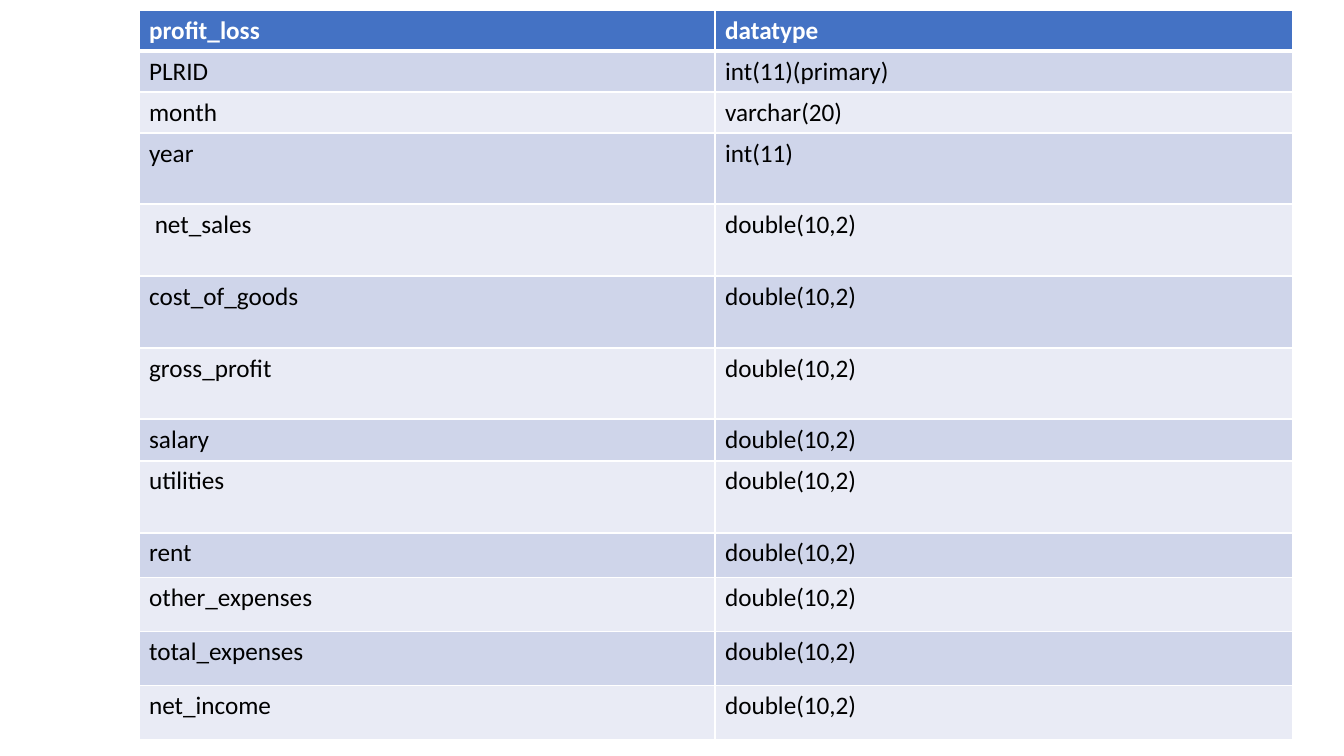
from dataclasses import dataclass

from lxml import etree
from pptx import Presentation
from pptx.dml.color import RGBColor
from pptx.enum.text import MSO_ANCHOR, PP_ALIGN
from pptx.oxml.ns import qn
from pptx.util import Emu, Pt

TOP = MSO_ANCHOR.TOP
LEFT = PP_ALIGN.LEFT
EMU_PER_PIXEL = 914400 / 100.8


@dataclass(frozen=True)
class Theme:
    font: str = "Calibri"
    text_size: int = 18
    header_fill: str = "4472C4"
    header_text: str = "FFFFFF"
    body_text: str = "000000"
    bands: tuple = ("CFD5EA", "E9EBF5")
    border: str = "FFFFFF"
    thin: int = 1
    thick: int = 3


THEME = Theme()
MONEY = "double(10,2)"
COLUMN_WIDTHS = (576, 578)
SCHEMA = (
    ("profit_loss", "datatype", 41),
    ("PLRID", "int(11)(primary)", 41),
    ("month", "varchar(20)", 41),
    ("year", "int(11)", 71),
    ("\u00a0net_sales", MONEY, 72),
    ("cost_of_goods", MONEY, 72),
    ("gross_profit", MONEY, 71),
    ("salary", MONEY, 42),
    ("utilities", MONEY, 72),
    ("rent", MONEY, 45),
    ("other_expenses", MONEY, 54),
    ("total_expenses", MONEY, 54),
    ("net_income", MONEY, 54),
)


def px(pixels):
    return Emu(round(pixels * EMU_PER_PIXEL))


def set_borders(cell, top, bottom):
    properties = cell._tc.get_or_add_tcPr()
    widths = {"a:lnL": THEME.thin, "a:lnR": THEME.thin, "a:lnT": top, "a:lnB": bottom}
    for side, width in widths.items():
        border = etree.SubElement(properties, qn(side), w=str(Pt(width)))
        fill = etree.SubElement(border, qn("a:solidFill"))
        etree.SubElement(fill, qn("a:srgbClr"), val=THEME.border)


def fill_cell(cell, text, row_index):
    is_header = row_index == 0
    set_borders(
        cell,
        top=THEME.thick if row_index == 1 else THEME.thin,
        bottom=THEME.thick if is_header else THEME.thin,
    )
    background = THEME.header_fill if is_header else THEME.bands[(row_index - 1) % 2]
    cell.fill.solid()
    cell.fill.fore_color.rgb = RGBColor.from_string(background)
    cell.vertical_anchor = TOP
    cell.text_frame.text = text
    paragraph = cell.text_frame.paragraphs[0]
    paragraph.alignment = LEFT
    font = paragraph.runs[0].font
    font.name = THEME.font
    font.size = Pt(THEME.text_size)
    font.bold = is_header
    font.color.rgb = RGBColor.from_string(THEME.header_text if is_header else THEME.body_text)


def add_schema_table(slide, left, top):
    width = sum(COLUMN_WIDTHS)
    height = sum(row_height for *_, row_height in SCHEMA)
    schema_table = slide.shapes.add_table(
        len(SCHEMA), len(COLUMN_WIDTHS), px(left), px(top), px(width), px(height)
    ).table
    for column, column_width in zip(schema_table.columns, COLUMN_WIDTHS):
        column.width = px(column_width)
    for row_index, (*texts, row_height) in enumerate(SCHEMA):
        row = schema_table.rows[row_index]
        row.height = px(row_height)
        for cell, text in zip(row.cells, texts):
            fill_cell(cell, text, row_index)


def main():
    presentation = Presentation()
    presentation.slide_width = px(1344)
    presentation.slide_height = px(756)
    slide = presentation.slides.add_slide(presentation.slide_layouts[6])
    add_schema_table(slide, left=139, top=10)
    presentation.save("out.pptx")


main()
